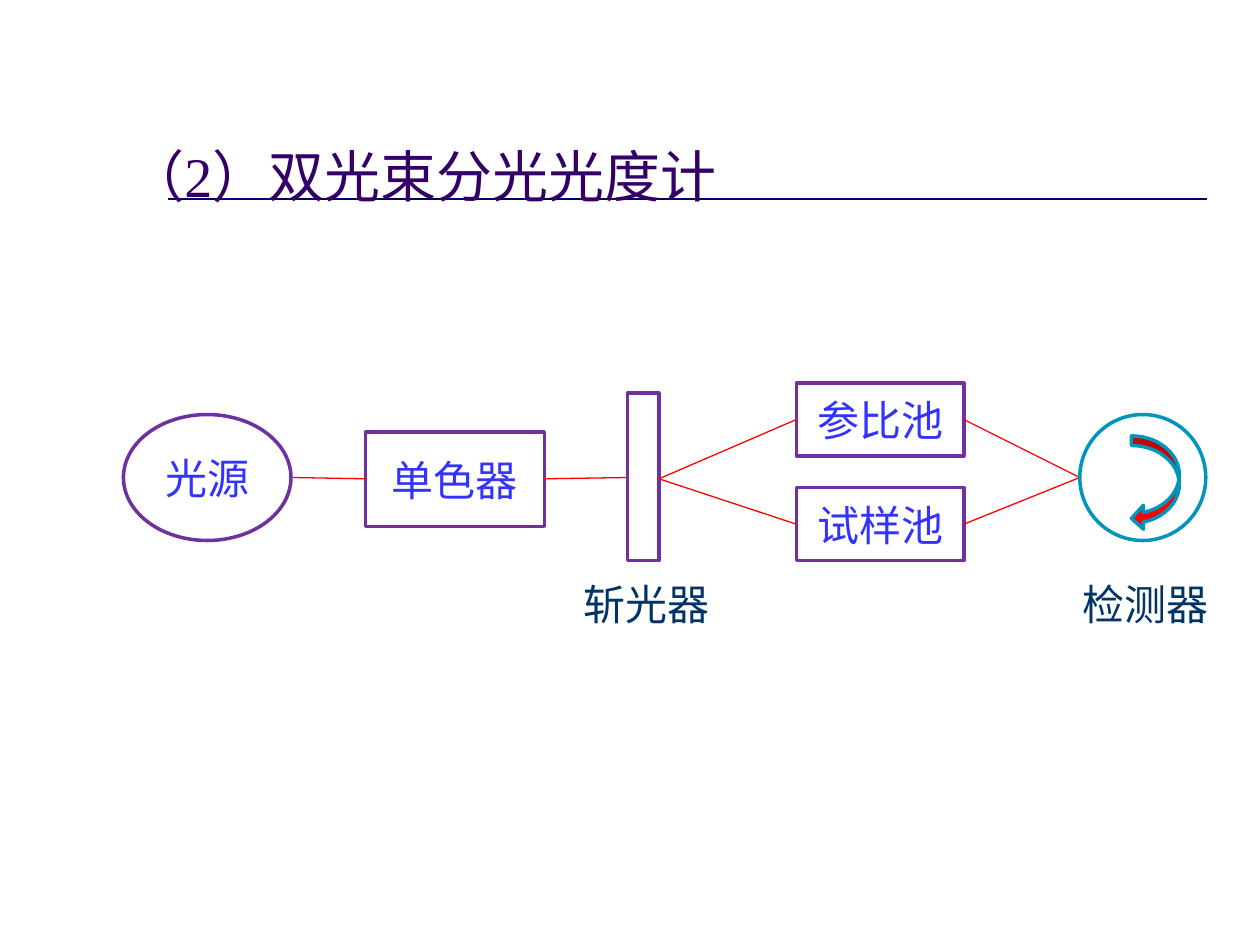
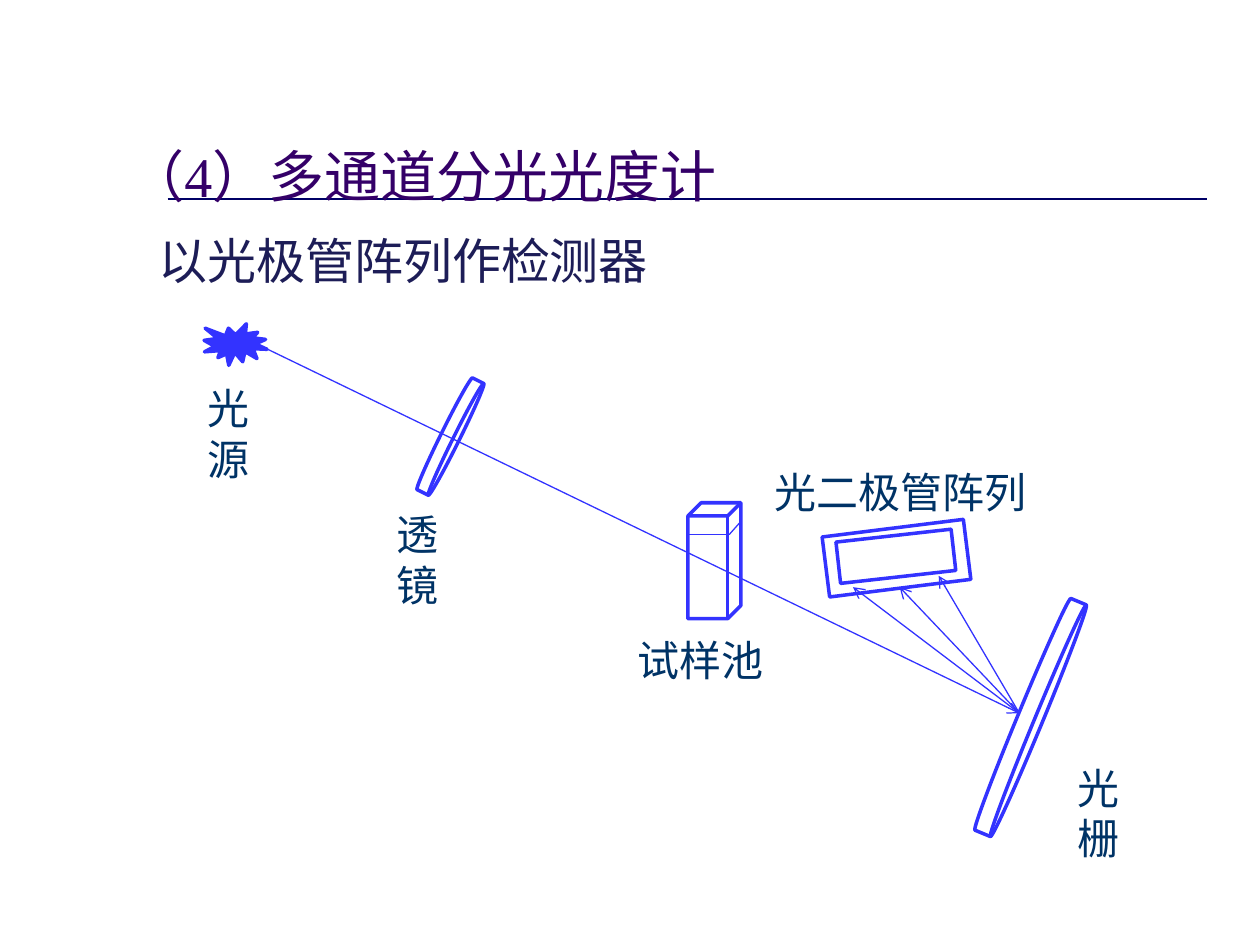
from lxml import etree
from pptx import Presentation
from pptx import util as u
from pptx.dml.color import RGBColor
from pptx.enum import shapes, text
from pptx.oxml.ns import qn

# Shared style
TITLE_COLOR = "340068"
RULE_COLOR = "000066"
LABEL_COLOR = "003366"
SUBTITLE_COLOR = "1D1D57"
BLUE = "3333FF"
PURPLE = "7030A0"
TEAL = "0095BC"
RED = "FF0000"
SERIF = "Times New Roman"
SANS = "Arial"
SHAPE = shapes.MSO_SHAPE


def color(hex_string):
    return RGBColor.from_string(hex_string)


def write(shape, words, size, font, hex_string, align=text.PP_ALIGN.CENTER):
    shape.text_frame.text = words
    paragraph = shape.text_frame.paragraphs[0]
    paragraph.alignment = align
    for run in paragraph.runs:
        run.font.size = u.Pt(size)
        run.font.name = font
        run.font.color.rgb = color(hex_string)


def add_text(slide, words, box, size=24, font=SERIF, hex_string=LABEL_COLOR):
    """Centred, unwrapped text in a box of left, top, width, height."""
    label = slide.shapes.add_textbox(*map(u.Inches, box))
    label.text_frame.word_wrap = False
    write(label, words, size, font, hex_string)


def add_outline(slide, kind, box, line, words="", fill=None, rotation=0):
    shape = slide.shapes.add_shape(kind, *map(u.Inches, box))
    shape.shadow.inherit = False
    shape.rotation = rotation
    shape.line.color.rgb = color(line)
    shape.line.width = u.Pt(2)
    if fill:
        shape.fill.solid()
        shape.fill.fore_color.rgb = color(fill)
    else:
        shape.fill.background()
    if words:
        shape.text_frame.vertical_anchor = text.MSO_ANCHOR.MIDDLE
        write(shape, words, 24, SANS, BLUE)
    return shape


def add_line(slide, start, end, hex_string, width=0.75, arrow=False):
    line = slide.shapes.add_connector(
        shapes.MSO_CONNECTOR.STRAIGHT, *map(u.Inches, start + end))
    line.line.color.rgb = color(hex_string)
    line.line.width = u.Pt(width)
    properties = line._element.spPr
    if arrow:
        etree.SubElement(properties.find(qn("a:ln")), qn("a:tailEnd"), type="arrow")
    etree.SubElement(properties, qn("a:effectLst"))


def add_titled_slide(presentation, title):
    slide = presentation.slides.add_slide(presentation.slide_layouts[6])
    add_line(slide, (1.33, 1.58), (9.58, 1.58), RULE_COLOR, width=1.5)
    box = slide.shapes.add_textbox(*map(u.Inches, (0.92, 1, 8.25, 0.78)))
    box.text_frame.word_wrap = True
    box.text_frame.vertical_anchor = text.MSO_ANCHOR.MIDDLE
    write(box, title, 32, SERIF, TITLE_COLOR, text.PP_ALIGN.LEFT)
    return slide


def build_double_beam(presentation):
    slide = add_titled_slide(presentation, "（2）双光束分光光度计")

    # Source, monochromator and chopper
    add_outline(slide, SHAPE.OVAL, (0.98, 3.29, 1.33, 1), PURPLE, "光源")
    add_outline(slide, SHAPE.RECTANGLE, (2.9, 3.43, 1.42, 0.75), PURPLE, "单色器")
    add_outline(slide, SHAPE.RECTANGLE, (4.98, 3.12, 0.25, 1.33), PURPLE)
    add_line(slide, (2.32, 3.79), (2.9, 3.8), RED)
    add_line(slide, (4.32, 3.8), (4.98, 3.79), RED)

    # Two cells, each with a beam in and a beam out
    for words, top in (("参比池", 3.04), ("试样池", 3.87)):
        middle = top + 0.29
        add_outline(slide, SHAPE.RECTANGLE, (6.32, top, 1.33, 0.58), PURPLE, words)
        add_line(slide, (5.23, 3.8), (6.32, middle), RED)
        add_line(slide, (7.65, middle), (8.57, 3.79), RED)

    # Detector
    add_outline(slide, SHAPE.OVAL, (8.57, 3.29, 1, 1), TEAL)
    arrow = add_outline(slide, SHAPE.CURVED_LEFT_ARROW, (8.98, 3.46, 0.38, 0.75),
                        TEAL, fill=RED)
    arrow.adjustments[0] = 0.2

    for words, left in (("斩光器", 4.53), ("检测器", 8.49)):
        add_text(slide, words, (left, 4.54, 1.2, 0.5))


def build_multichannel(presentation):
    slide = add_titled_slide(presentation, "（4）多通道分光光度计")
    add_text(slide, "以光极管阵列作检测器", (1.16, 1.78, 4.08, 0.57),
             28, SANS, SUBTITLE_COLOR)

    # Optical parts: kind, box, rotation, fill
    drum = SHAPE.FLOWCHART_DIRECT_ACCESS_STORAGE
    for kind, box, rotation, fill in (
        (SHAPE.EXPLOSION1, (1.62, 2.57, 0.5, 0.33), 0, BLUE),
        (drum, (3.5, 2.97, 0.15, 0.99), 26.4, None),
        (SHAPE.CUBE, (5.46, 3.99, 0.42, 0.92), 0, None),
        (drum, (8.08, 4.7, 0.2, 1.99), 22.5, None),
        (SHAPE.RECTANGLE, (6.55, 4.19, 1.13, 0.48), 352.9, None),
        (SHAPE.RECTANGLE, (6.65, 4.25, 0.92, 0.33), 353.6, None),
    ):
        add_outline(slide, kind, box, BLUE, fill=fill, rotation=rotation)

    # Beam to the grating, then dispersed to the diode array
    grating = (8.09, 5.66)
    add_line(slide, (2.12, 2.77), grating, BLUE, arrow=True)
    for diode in ((6.77, 4.66), (7.14, 4.66), (7.45, 4.57)):
        add_line(slide, grating, diode, BLUE, arrow=True)

    # Liquid level in the sample cell
    add_line(slide, (5.46, 4.24), (5.79, 4.24), BLUE)
    add_line(slide, (5.79, 4.24), (5.87, 4.15), BLUE)

    for words, left, top, width in (
        ("光源", 1.38, 2.99, 0.86),
        ("透镜", 2.88, 3.99, 0.86),
        ("试样池", 4.96, 4.99, 1.2),
        ("光栅", 8.29, 6, 0.86),
        ("光二极管阵列", 6.05, 3.65, 2.2),
    ):
        add_text(slide, words, (left, top, width, 0.5))


def main():
    presentation = Presentation()
    presentation.slide_width = u.Inches(10)
    presentation.slide_height = u.Inches(7.5)
    build_double_beam(presentation)
    build_multichannel(presentation)
    presentation.save("out.pptx")


if __name__ == "__main__":
    main()
